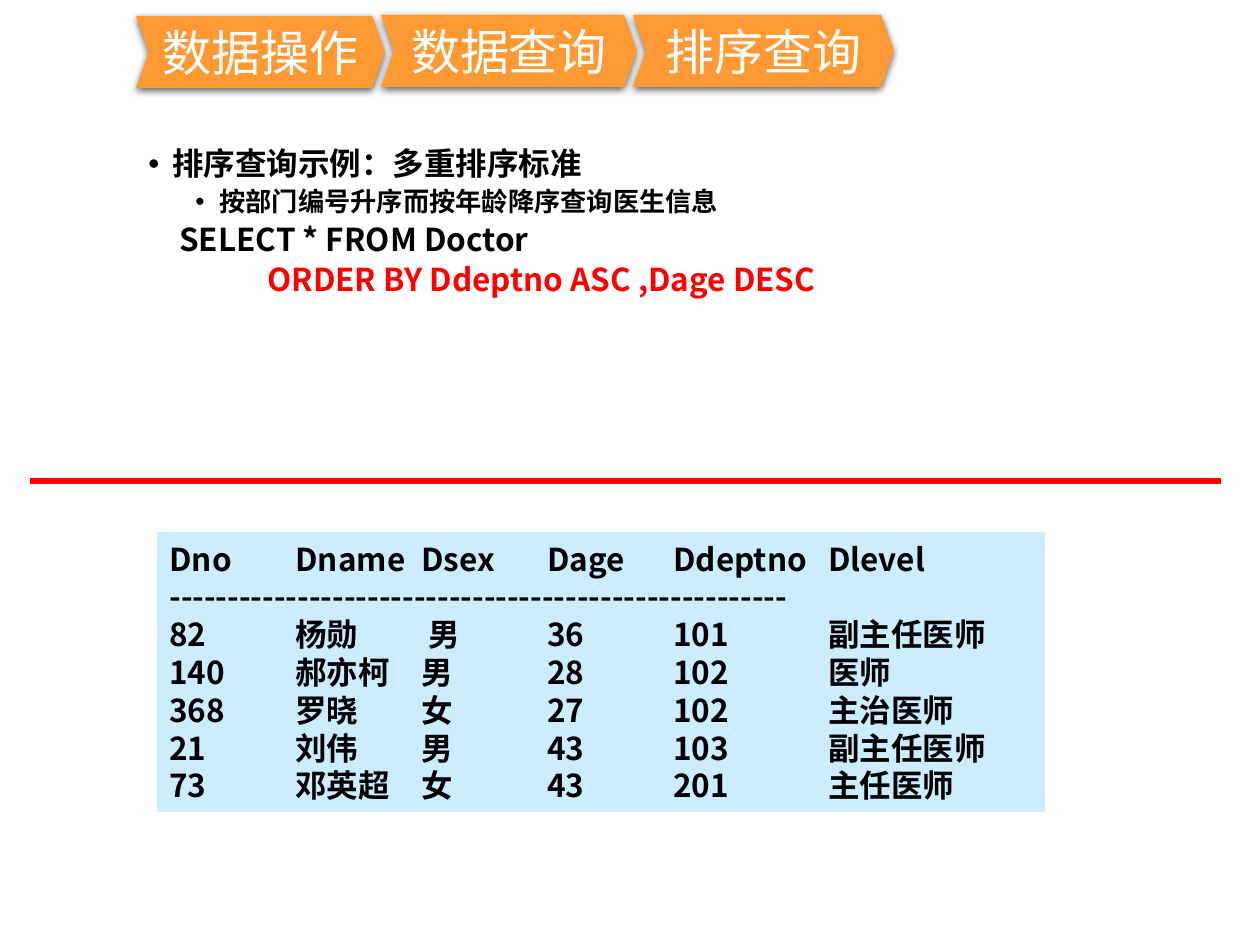
import pptx
import pptx.dml.color
import pptx.enum.shapes
import pptx.enum.text
import pptx.oxml
import pptx.oxml.ns
import pptx.util

PX = 914400 / 126
FONT = "Noto Sans CJK SC"
BLACK = pptx.dml.color.RGBColor(0x00, 0x00, 0x00)
WHITE = pptx.dml.color.RGBColor(0xFF, 0xFF, 0xFF)
RED = pptx.dml.color.RGBColor(0xFF, 0x00, 0x00)
ORANGE = pptx.dml.color.RGBColor(0xFF, 0x99, 0x33)
PALE_BLUE = pptx.dml.color.RGBColor(0xCC, 0xEC, 0xFF)

CRUMBS = [("数据操作", 0, 1, 249), ("数据查询", 245, 0, 256), ("排序查询", 497, 0, 261)]
EXAMPLE = [
    ("排序查询示例：多重排序标准", 71, True, 18, BLACK),
    ("按部门编号升序而按年龄降序查询医生信息", 118, True, 15, BLACK),
    ("SELECT * FROM Doctor", 78, False, 18, BLACK),
    ("ORDER BY Ddeptno ASC ,Dage DESC", 166, False, 18, RED),
]
COLUMN_STOPS = [126, 252, 378, 504, 659]
DOCTORS = [
    ("Dno", "Dname", "Dsex", "Dage", "Ddeptno", "Dlevel"),
    ("-" * 53,),
    ("82", "杨勋", " 男", "36", "101", "副主任医师"),
    ("140", "郝亦柯", "男", "28", "102", "医师"),
    ("368", "罗晓", "女", "27", "102", "主治医师"),
    ("21", "刘伟", "男", "43", "103", "副主任医师"),
    ("73", "邓英超", "女", "43", "201", "主任医师"),
]


def px(length):
    return pptx.util.Emu(round(length * PX))


def add_xml(parent, tag, **attributes):
    child = pptx.oxml.parse_xml(f"<a:{tag} {pptx.oxml.ns.nsdecls('a')}/>")
    for key, value in attributes.items():
        child.set(key, str(value))
    parent.append(child)
    return child


def style_runs(paragraph, size, color, bold):
    for run in paragraph.runs:
        run.font.size = pptx.util.Pt(size)
        run.font.bold = bold
        run.font.color.rgb = color
        run.font.name = FONT
        add_xml(run.font._element, "ea", typeface=FONT)


def add_block(slide, preset, left, top, width, height, fill):
    block = slide.shapes.add_shape(preset, px(left), px(top), px(width), px(height))
    block.shadow.inherit = False
    block.fill.solid()
    block.fill.fore_color.rgb = fill
    block.line.fill.background()
    block.text_frame.vertical_anchor = pptx.enum.text.MSO_ANCHOR.MIDDLE
    block.text_frame.word_wrap = False
    return block


def add_breadcrumb(slide, left, top, height):
    for label, offset, drop, width in CRUMBS:
        crumb = add_block(slide, pptx.enum.shapes.MSO_SHAPE.CHEVRON,
                          left + offset, top + drop, width, height, ORANGE)
        crumb.adjustments[0] = 0.18
        effects = crumb._element.spPr.find(pptx.oxml.ns.qn("a:effectLst"))
        shadow = add_xml(effects, "outerShdw", blurRad=57150, dist=19050,
                         dir=5400000, rotWithShape=0)
        add_xml(add_xml(shadow, "srgbClr", val="000000"), "alpha", val=63000)
        caption = crumb.text_frame.paragraphs[0]
        caption.text = label
        caption.alignment = pptx.enum.text.PP_ALIGN.CENTER
        style_runs(caption, 28, WHITE, False)


def add_example(slide, left, top, width, height):
    example = slide.shapes.add_textbox(px(left), px(top), px(width), px(height)).text_frame
    example.word_wrap = True
    example.text = "\n".join(row[0] for row in EXAMPLE)
    for index, (line, row) in enumerate(zip(example.paragraphs, EXAMPLE)):
        _, margin, bulleted, size, color = row
        line.line_spacing = 0.9
        if index:
            line.space_before = pptx.util.Pt(3.8)
        properties = line._p.get_or_add_pPr()
        properties.set("marL", str(px(margin)))
        properties.set("indent", str(px(-24 if bulleted else 0)))
        if bulleted:
            add_xml(properties, "buFont", typeface="Arial")
            add_xml(properties, "buChar", char="•")
        style_runs(line, size, color, True)


def add_divider(slide, left, top, width):
    divider = slide.shapes.add_connector(pptx.enum.shapes.MSO_CONNECTOR.STRAIGHT,
                                         px(left), px(top), px(left + width), px(top))
    divider.line.color.rgb = RED
    divider.line.width = pptx.util.Pt(3)
    add_xml(divider._element.spPr, "effectLst")


def add_result(slide, left, top, width, height):
    result = add_block(slide, pptx.enum.shapes.MSO_SHAPE.RECTANGLE,
                       left, top, width, height, PALE_BLUE).text_frame
    result.word_wrap = True
    result.text = "\n".join("\t".join(doctor) for doctor in DOCTORS)
    for line in result.paragraphs:
        line.alignment = pptx.enum.text.PP_ALIGN.LEFT
        stops = add_xml(line._p.get_or_add_pPr(), "tabLst")
        for stop in COLUMN_STOPS:
            add_xml(stops, "tab", pos=px(stop), algn="l")
        style_runs(line, 18, BLACK, True)


def main():
    deck = pptx.Presentation()
    deck.slide_width, deck.slide_height = px(1260), px(945)
    slide = deck.slides.add_slide(deck.slide_layouts[6])
    add_example(slide, 89, 142, 1171, 742)
    add_breadcrumb(slide, 136, 15, 72)
    add_divider(slide, 30, 481, 1191)
    add_result(slide, 157, 532, 888, 280)
    deck.save("out.pptx")


if __name__ == "__main__":
    main()
